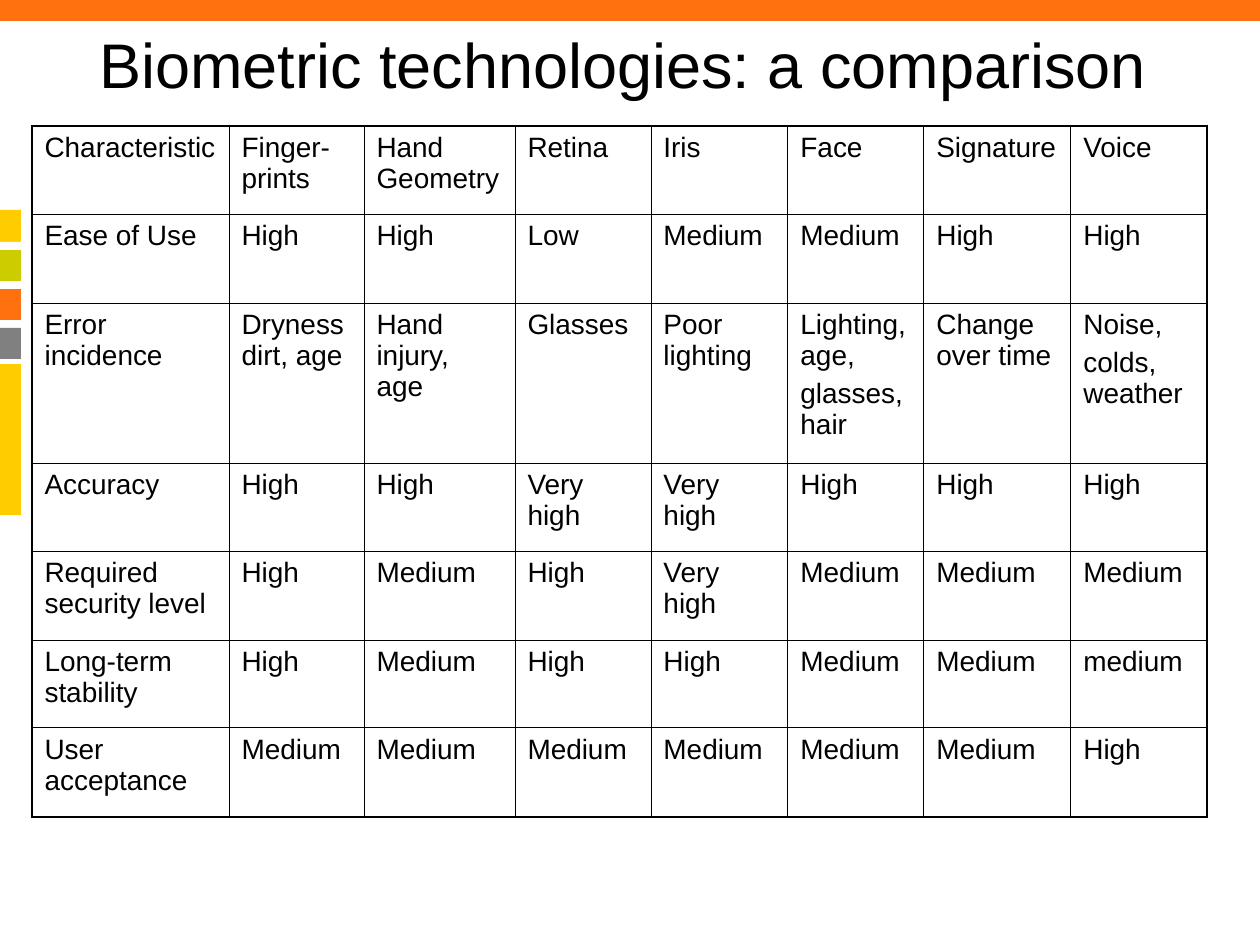
import pptx
import pptx.dml.color
import pptx.enum.shapes
import pptx.enum.text
import pptx.oxml.ns
import pptx.util
from lxml import etree

EMU_PER_PX = 914400 // 126
FONT = "Arial"
RGB = pptx.dml.color.RGBColor
BLACK = RGB(0x00, 0x00, 0x00)
WHITE = RGB(0xFF, 0xFF, 0xFF)
YELLOW = RGB(0xFF, 0xCC, 0x00)
LIME = RGB(0xCC, 0xCC, 0x00)
ORANGE = RGB(0xFF, 0x70, 0x0F)
GREY = RGB(0x80, 0x80, 0x80)

OUTER_BORDER = 1.08
INNER_BORDER = 0.45
COLUMN_WIDTHS = [197, 135, 151, 136, 137, 136, 147, 136]
ROW_HEIGHTS = [88, 89, 160, 88, 89, 88, 89]
COMPARISON = [
    ["Characteristic", "Finger-prints", "Hand Geometry", "Retina", "Iris",
     "Face", "Signature", "Voice"],
    ["Ease of Use", "High", "High", "Low", "Medium", "Medium", "High", "High"],
    ["Error incidence", "Dryness dirt, age", "Hand injury, age", "Glasses",
     "Poor lighting", "Lighting, age,\nglasses,hair", "Change over time",
     "Noise,\ncolds, weather"],
    ["Accuracy", "High", "High", "Very high", "Very high", "High", "High", "High"],
    ["Required security level", "High", "Medium", "High", "Very high",
     "Medium", "Medium", "Medium"],
    ["Long-term stability", "High", "Medium", "High", "High",
     "Medium", "Medium", "medium"],
    ["User acceptance", "Medium", "Medium", "Medium", "Medium",
     "Medium", "Medium", "High"],
]


def px(length):
    return pptx.util.Emu(length * EMU_PER_PX)


def add_block(slide, left, top, width, height, color):
    shape = slide.shapes.add_shape(
        pptx.enum.shapes.MSO_SHAPE.RECTANGLE,
        px(left), px(top), px(width), px(height))
    shape.shadow.inherit = False
    shape.fill.solid()
    shape.fill.fore_color.rgb = color
    shape.line.fill.background()


def add_decoration(slide):
    """Draw the top bar and the coloured strip on the left edge."""
    add_block(slide, 0, 210, 21, 305, YELLOW)
    add_block(slide, 0, 242, 21, 122, WHITE)
    add_block(slide, 0, 0, 1260, 21, ORANGE)
    for index, color in enumerate([LIME, ORANGE, GREY]):
        add_block(slide, 0, 250 + 39 * index, 21, 31, color)


def format_text(text_frame, size):
    for paragraph in text_frame.paragraphs:
        for run in paragraph.runs:
            run.font.name = FONT
            run.font.size = pptx.util.Pt(size)
            run.font.color.rgb = BLACK


def add_title(slide, text):
    box = slide.shapes.add_textbox(px(87), px(-10), px(1102), px(147))
    text_frame = box.text_frame
    text_frame.word_wrap = True
    text_frame.vertical_anchor = pptx.enum.text.MSO_ANCHOR.MIDDLE
    text_frame.text = text
    format_text(text_frame, 36)


def set_border(cell, side, width):
    """Add one cell border; call in the order L, R, T, B, before any fill."""
    properties = cell._tc.get_or_add_tcPr()
    qn = pptx.oxml.ns.qn
    line = etree.SubElement(properties, qn(f"a:ln{side}"),
                            w=str(int(pptx.util.Pt(width))))
    fill = etree.SubElement(line, qn("a:solidFill"))
    etree.SubElement(fill, qn("a:srgbClr"), val=str(BLACK))


def fill_cell(cell, text, outer_sides):
    cell.text_frame.text = text
    for paragraph in cell.text_frame.paragraphs[1:]:
        paragraph.space_before = pptx.util.Pt(4)
    format_text(cell.text_frame, 16)
    for side in "LRTB":
        set_border(cell, side, OUTER_BORDER if side in outer_sides else INNER_BORDER)
    cell.fill.background()


def add_comparison_table(slide):
    row_count, column_count = len(ROW_HEIGHTS), len(COLUMN_WIDTHS)
    table = slide.shapes.add_table(
        row_count, column_count, px(32), px(126),
        px(sum(COLUMN_WIDTHS)), px(sum(ROW_HEIGHTS))).table
    table.first_row = False
    table.horz_banding = False
    for column, width in zip(table.columns, COLUMN_WIDTHS):
        column.width = px(width)
    for row, height in zip(table.rows, ROW_HEIGHTS):
        row.height = px(height)
    for row_index, texts in enumerate(COMPARISON):
        for column_index, text in enumerate(texts):
            edges = {"L": column_index == 0, "R": column_index == column_count - 1,
                     "T": row_index == 0, "B": row_index == row_count - 1}
            outer_sides = [side for side, is_outer in edges.items() if is_outer]
            fill_cell(table.cell(row_index, column_index), text, outer_sides)


def main():
    presentation = pptx.Presentation()
    presentation.slide_width = pptx.util.Inches(10)
    presentation.slide_height = pptx.util.Inches(7.5)
    slide = presentation.slides.add_slide(presentation.slide_layouts[6])
    add_decoration(slide)
    add_title(slide, "Biometric technologies: a comparison")
    add_comparison_table(slide)
    presentation.save("out.pptx")


if __name__ == "__main__":
    main()
